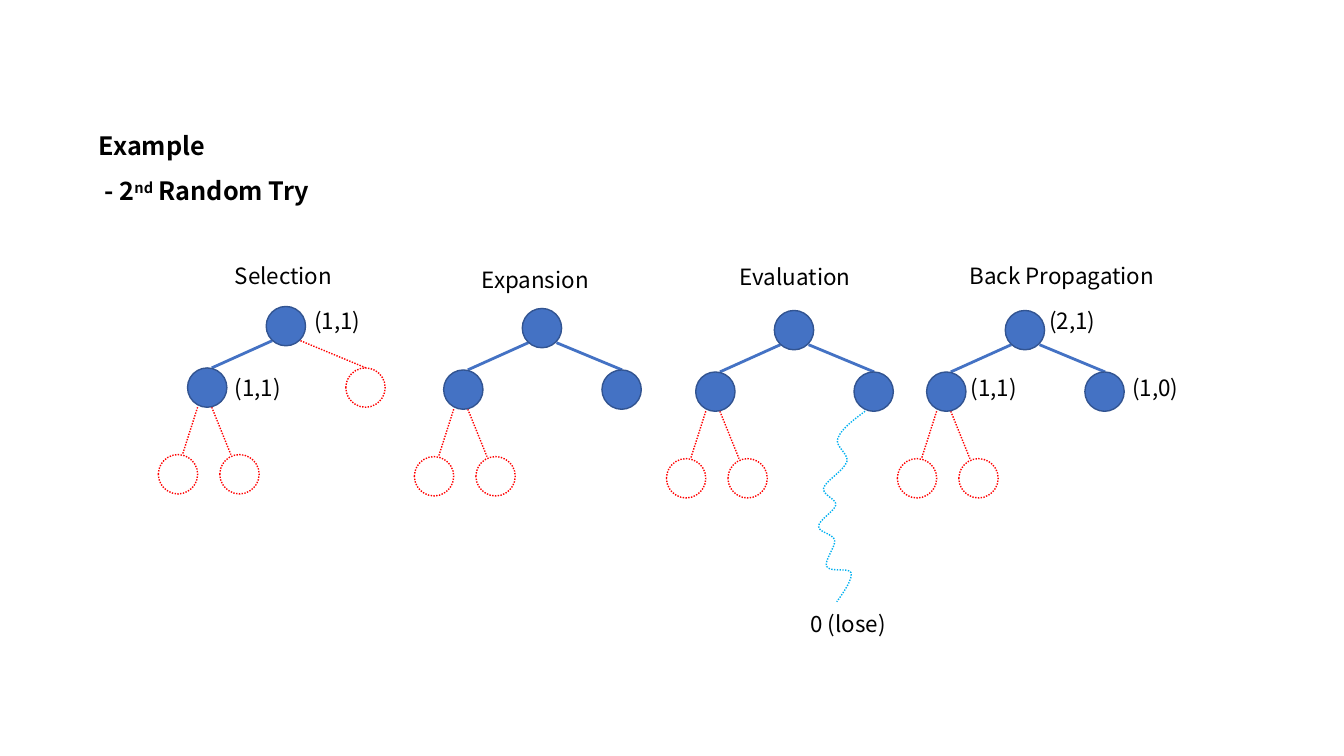
from pptx import Presentation
from pptx.dml.color import RGBColor
from pptx.enum.dml import MSO_LINE
from pptx.enum.shapes import MSO_CONNECTOR, MSO_SHAPE
from pptx.enum.text import MSO_ANCHOR, MSO_AUTO_SIZE, PP_ALIGN
from pptx.oxml.xmlchemy import OxmlElement
from pptx.util import Inches, Pt

FONT = "Noto Sans CJK KR"
HEX = {"text": "000000", "node": "4472C4", "rim": "325491",
       "open": "FF0000", "path": "00B0F0"}

# Heading lines, as (text, raised) parts
HEAD = [[("Example", False)],
        [(" - 2", False), ("nd", True), (" Random Try", False)]]

# Root corner of each tree, and whether its right child is visited
TREES = [(2.64, 3.04, False), (5.18, 3.06, True),
         (7.68, 3.08, True), (9.97, 3.08, True)]

# Nodes as offsets from the root corner; None means set by the tree
SIZE = 0.39
NODES = [(0, 0, True), (-0.78, 0.61, True), (0.79, 0.61, None),
         (-1.07, 1.47, False), (-0.46, 1.47, False)]
EDGES = [(0.06, 0.34, -0.54, 0.61, True), (0.34, 0.34, 0.99, 0.61, None),
         (-0.68, 1, -0.83, 1.47, False), (-0.54, 1, -0.35, 1.47, False)]

LABELS = [
    ("Selection", 2.23, 2.55, 1.2), ("Expansion", 4.68, 2.59, 1.29),
    ("Evaluation", 7.24, 2.56, 1.34), ("Back Propagation", 9.52, 2.55, 2.17),
    ("(1,1)", 3.02, 3, 0.68), ("(1,1)", 2.23, 3.66, 0.68),
    ("(2,1)", 10.31, 3, 0.68), ("(1,1)", 9.53, 3.66, 0.68),
    ("(1,0)", 11.13, 3.66, 0.68), ("0 (lose)", 7.94, 6, 1.01)]

# Rollout: a start, then two handles and an end for each bend
WAVE = [
    (8.58, 4.08),
    (8.46, 4.17), (8.34, 4.26), (8.31, 4.35),
    (8.28, 4.43), (8.42, 4.5), (8.4, 4.58),
    (8.37, 4.67), (8.19, 4.77), (8.17, 4.84),
    (8.15, 4.91), (8.3, 4.95), (8.29, 5.01),
    (8.28, 5.07), (8.12, 5.16), (8.12, 5.22),
    (8.11, 5.28), (8.26, 5.29), (8.28, 5.36),
    (8.29, 5.42), (8.17, 5.57), (8.2, 5.62),
    (8.23, 5.68), (8.43, 5.63), (8.44, 5.68),
    (8.46, 5.74), (8.38, 5.86), (8.3, 5.97)]


def color(name):
    return RGBColor.from_string(HEX[name])


def stroke(line, name, width=1, dots=False):
    line.color.rgb = color(name)
    line.width = Pt(width)
    if dots:
        line.dash_style = MSO_LINE.ROUND_DOT


def style(run, size, bold=False):
    run.font.name = FONT
    run.font.size = Pt(size)
    run.font.bold = bold
    run.font.color.rgb = color("text")


def add_head(slide):
    title = slide.shapes.title
    title.left, title.top = Inches(0.38), Inches(1.09)
    title.width, title.height = Inches(11.18), Inches(0.95)
    frame = title.text_frame
    frame.auto_size = MSO_AUTO_SIZE.SHAPE_TO_FIT_TEXT
    frame.vertical_anchor = MSO_ANCHOR.TOP
    frame.margin_left = Inches(0.6)
    for i, parts in enumerate(HEAD):
        para = frame.add_paragraph() if i else frame.paragraphs[0]
        para.alignment = PP_ALIGN.LEFT
        para.line_spacing = 1.5
        para.space_before = Pt(0)
        for text, raised in parts:
            run = para.add_run()
            run.text = text
            style(run, 18, True)
            if raised:
                run.font._element.set("baseline", "30000")


def add_edge(slide, ends, done):
    edge = slide.shapes.add_connector(
        MSO_CONNECTOR.STRAIGHT, *(Inches(v) for v in ends))
    if done:
        stroke(edge.line, "node", 2)
    else:
        stroke(edge.line, "open", dots=True)
    edge._element.spPr.append(OxmlElement("a:effectLst"))


def add_node(slide, x, y, done):
    node = slide.shapes.add_shape(
        MSO_SHAPE.OVAL, Inches(x), Inches(y), Inches(SIZE), Inches(SIZE))
    node.shadow.inherit = False
    if done:
        node.fill.solid()
        node.fill.fore_color.rgb = color("node")
        stroke(node.line, "rim")
    else:
        node.fill.background()
        stroke(node.line, "open", dots=True)


def add_tree(slide, x, y, right):
    for x1, y1, x2, y2, done in EDGES:
        add_edge(slide, (x + x1, y + y1, x + x2, y + y2),
                 right if done is None else done)
    for dx, dy, done in NODES:
        add_node(slide, x + dx, y + dy, right if done is None else done)


def add_wave(slide):
    """Draw the rollout, joining each three points into one Bezier curve."""
    points = [(Inches(x), Inches(y)) for x, y in WAVE]
    build = slide.shapes.build_freeform(*points[0])
    build.add_line_segments(points[1:], close=False)
    wave = build.convert_to_shape()
    wave.shadow.inherit = False
    wave.fill.background()
    stroke(wave.line, "path", dots=True)
    steps = wave._element.xpath(".//a:lnTo")
    for i in range(0, len(steps), 3):
        curve = OxmlElement("a:cubicBezTo")
        steps[i].addprevious(curve)
        for step in steps[i:i + 3]:
            curve.append(step[0])
            step.getparent().remove(step)


def add_label(slide, text, x, y, width):
    box = slide.shapes.add_textbox(
        Inches(x), Inches(y), Inches(width), Inches(0.37))
    frame = box.text_frame
    frame.text = text
    frame.word_wrap = False
    frame.auto_size = MSO_AUTO_SIZE.SHAPE_TO_FIT_TEXT
    style(frame.paragraphs[0].runs[0], 16)


def main():
    deck = Presentation()
    deck.slide_width, deck.slide_height = Inches(13.33), Inches(7.5)
    slide = deck.slides.add_slide(deck.slide_layouts[5])
    add_head(slide)
    for tree in TREES:
        add_tree(slide, *tree)
    add_wave(slide)
    for label in LABELS:
        add_label(slide, *label)
    deck.save("out.pptx")


if __name__ == "__main__":
    main()
